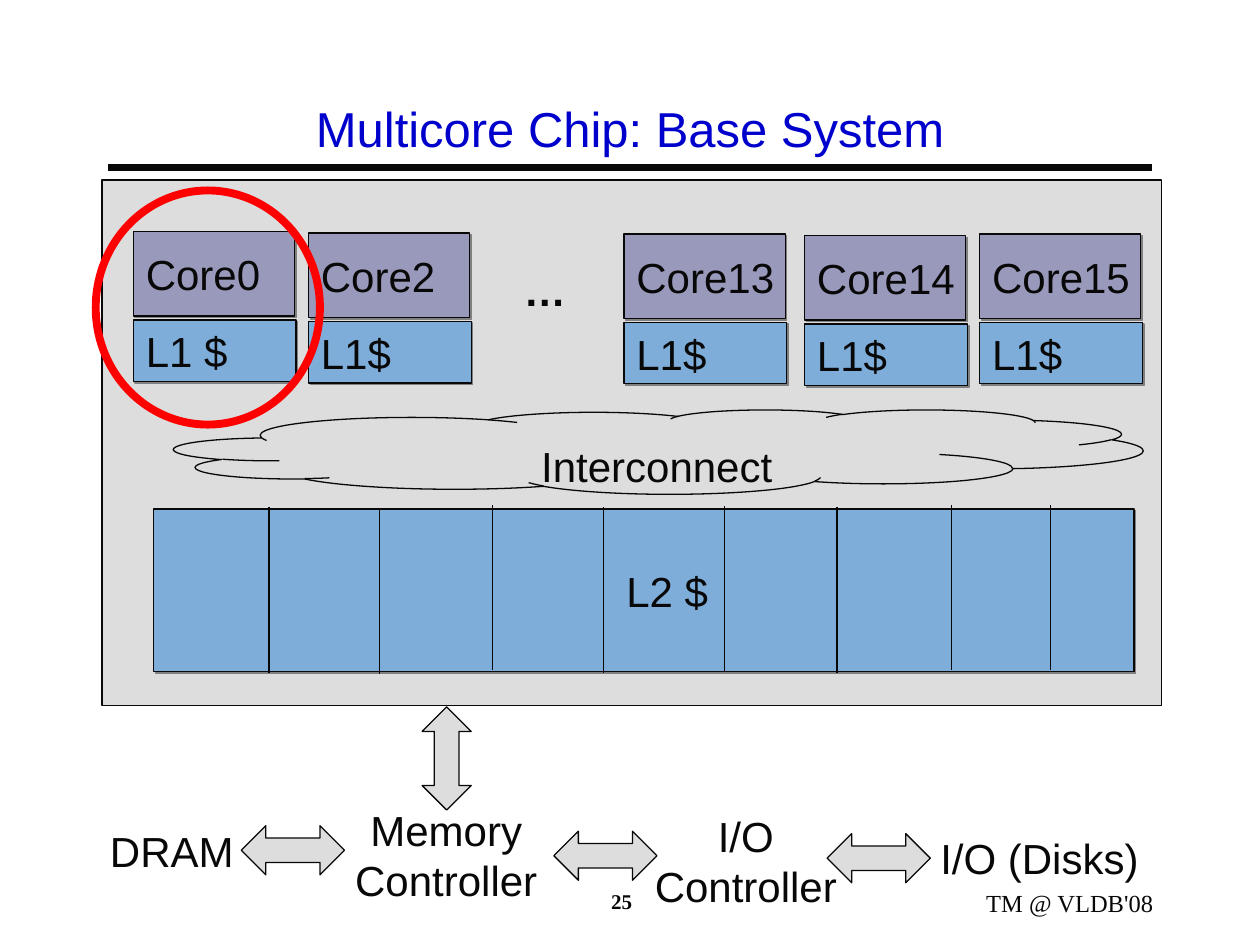
from lxml import etree
from pptx import Presentation
from pptx.dml.color import RGBColor
from pptx.enum.shapes import MSO_CONNECTOR, MSO_SHAPE
from pptx.enum.text import MSO_ANCHOR, PP_ALIGN
from pptx.oxml.ns import qn
from pptx.util import Cm, Pt

INK = RGBColor(0x08, 0x08, 0x08)
TITLE_BLUE = RGBColor(0x00, 0x00, 0xCC)
GRAY = RGBColor(0xDD, 0xDD, 0xDD)
CACHE_BLUE = RGBColor(0x7E, 0xAD, 0xD9)
CORE_PURPLE = RGBColor(0x99, 0x99, 0xBB)
RED = RGBColor(0xFF, 0x00, 0x00)
SHADOW_HEX = "808080"

RECTANGLE, CLOUD, OVAL = MSO_SHAPE.RECTANGLE, MSO_SHAPE.CLOUD, MSO_SHAPE.OVAL
DOUBLE_ARROW = MSO_SHAPE.UP_DOWN_ARROW
STRAIGHT = MSO_CONNECTOR.STRAIGHT
LEFT, CENTER, RIGHT = PP_ALIGN.LEFT, PP_ALIGN.CENTER, PP_ALIGN.RIGHT
TOP, MIDDLE = MSO_ANCHOR.TOP, MSO_ANCHOR.MIDDLE

CORES = [("Core0", "L1 $", 0.63, 1.04), ("Core2", "L1$", 4.16, 1.07),
         ("Core13", "L1$", 10.52, 1.09), ("Core14", "L1$", 14.16, 1.12),
         ("Core15", "L1$", 17.69, 1.09)]
BANK_DIVIDERS = [(2.32, -0.03), (4.55, 0), (6.83, -0.08), (9.07, -0.03),
                 (11.51, -0.05), (13.77, -0.03), (16.08, -0.08), (18.08, -0.08)]


def write(box, text, align=LEFT, anchor=TOP, size=24, color=INK, font="Arial",
          bold=False, insets=(0.25, 0.13, 0.25)):
    """Put formatted text into a box, with left, top and right insets in cm."""
    frame = box.text_frame
    frame.text = text
    frame.word_wrap = True
    frame.vertical_anchor = anchor
    frame.margin_left, frame.margin_top, frame.margin_right = map(Cm, insets)
    for para in frame.paragraphs:
        para.alignment = align
        for span in para.runs:
            span.font.name = font
            span.font.size = Pt(size)
            span.font.bold = bold
            span.font.color.rgb = color


def add_label(shapes, left, top, width, height, text, **style):
    """Add a text box."""
    box = shapes.add_textbox(Cm(left), Cm(top), Cm(width), Cm(height))
    write(box, text, **style)


def add_figure(shapes, kind, left, top, width, height, fill=None, line=INK, weight=0.75):
    """Add an outlined preset shape without a shadow."""
    figure = shapes.add_shape(kind, Cm(left), Cm(top), Cm(width), Cm(height))
    figure.shadow.inherit = False
    if fill is None:
        figure.fill.background()
    else:
        figure.fill.solid()
        figure.fill.fore_color.rgb = fill
    figure.line.color.rgb = line
    figure.line.width = Pt(weight)
    return figure


def add_block(shapes, left, top, width, height, fill, text, **style):
    """Add a labelled rectangle with a hard drop shadow."""
    block = add_figure(shapes, RECTANGLE, left, top, width, height, fill)
    effects = block._element.spPr.find(qn("a:effectLst"))
    shadow = etree.SubElement(effects, qn("a:outerShdw"), dist=str(Pt(1.4)),
                              dir="2700000", algn="ctr", rotWithShape="0")
    etree.SubElement(shadow, qn("a:srgbClr"), val=SHADOW_HEX)
    write(block, text, anchor=MIDDLE, **style)


def add_rule(shapes, left, top, right, bottom, weight=0.75):
    """Add a straight line without a shadow."""
    rule = shapes.add_connector(STRAIGHT, Cm(left), Cm(top), Cm(right), Cm(bottom))
    rule.line.color.rgb = INK
    rule.line.width = Pt(weight)
    etree.SubElement(rule._element.spPr, qn("a:effectLst"))


def add_core(page, left, top, core, cache):
    """Group a core with its first-level cache below it."""
    shapes = page.shapes.add_group_shape().shapes
    insets = (0.25, 0.13, 0)
    add_block(shapes, left, top + 1.78, 3.28, 1.24, CACHE_BLUE, cache, insets=insets)
    add_block(shapes, left, top, 3.25, 1.7, CORE_PURPLE, core, insets=insets)


def add_shared_cache(page, left, top, width, height):
    """Draw the second-level cache and its bank dividers."""
    add_block(page.shapes, left, top, width, height, CACHE_BLUE, "L2 $",
              align=CENTER, insets=(1.19, 0.13, 0.25))
    for across, down in BANK_DIVIDERS:
        add_rule(page.shapes, left + across, top + down, left + across, top + down + 3.33)


def add_chip(page, left, top, width, height):
    """Draw the chip with cores, interconnect, shared cache and highlight."""
    add_figure(page.shapes, RECTANGLE, left, top, width, height, GRAY)
    for core, cache, across, down in CORES:
        add_core(page, left + across, top + down, core, cache)
    add_label(page.shapes, left + 8.25, top + 1.58, 1.55, 1.27, "…", bold=True)
    add_shared_cache(page, left + 1.04, top + 6.63, 19.76, 3.28)
    cloud = add_figure(page.shapes, CLOUD, left + 1.45, top + 4.63, 19.53, 1.7, GRAY)
    write(cloud, "Interconnect", align=CENTER, insets=(1.57, 0.36, 0.25))
    add_figure(page.shapes, OVAL, left - 0.13, top + 0.21, 4.52, 4.72, line=RED, weight=4.5)


def add_peripherals(page, left, top):
    """Draw the memory and I/O chain below the chip."""
    arrows = [(6.55, 0, 0), (3.45, 1.85, 270), (9.75, 1.96, 270), (15.26, 2.01, 270)]
    for across, down, turn in arrows:
        arrow = add_figure(page.shapes, DOUBLE_ARROW, left + across, top + down,
                           0.99, 2.08, GRAY)
        arrow.rotation = turn
    labels = [("Memory Controller", 4.19, 1.83, 5.69, 2.29),
              ("I/O\vController", 10.23, 1.96, 5.69, 2.29),
              ("I/O (Disks)", 16.48, 2.41, 5.03, 1.27)]
    for text, across, down, width, height in labels:
        add_label(page.shapes, left + across, top + down, width, height, text, align=CENTER)
    add_label(page.shapes, left, top + 2.26, 3, 1.27, "DRAM", align=RIGHT,
              insets=(0, 0.13, 0.25))


def add_heading(page, left, top, width, height):
    """Place the title and the rule under it."""
    add_rule(page.shapes, left + 0.28, top + 1.68, left + 21.32, top + 1.68, 4)
    add_label(page.shapes, left, top, width, height, "Multicore Chip: Base System",
              align=CENTER, anchor=MIDDLE, size=28, color=TITLE_BLUE)


def add_footer(page, left, top):
    """Place the page number and the event name."""
    font = "Times New Roman"
    add_label(page.shapes, left, top, 3.61, 0.84, "25", size=12, font=font, bold=True)
    add_label(page.shapes, left + 4.01, top, 7.42, 0.84, "TM @ VLDB'08",
              align=RIGHT, size=14, font=font)


def main():
    """Build and save the slide."""
    deck = Presentation()
    deck.slide_width, deck.slide_height = Cm(25.4), Cm(19.05)
    page = deck.slides.add_slide(deck.slide_layouts[6])
    add_heading(page, 1.9, 1.7, 21.6, 1.75)
    add_chip(page, 2.06, 3.63, 21.36, 10.59)
    add_peripherals(page, 1.96, 14.25)
    add_footer(page, 12.07, 17.78)
    deck.save("out.pptx")


if __name__ == "__main__":
    main()
